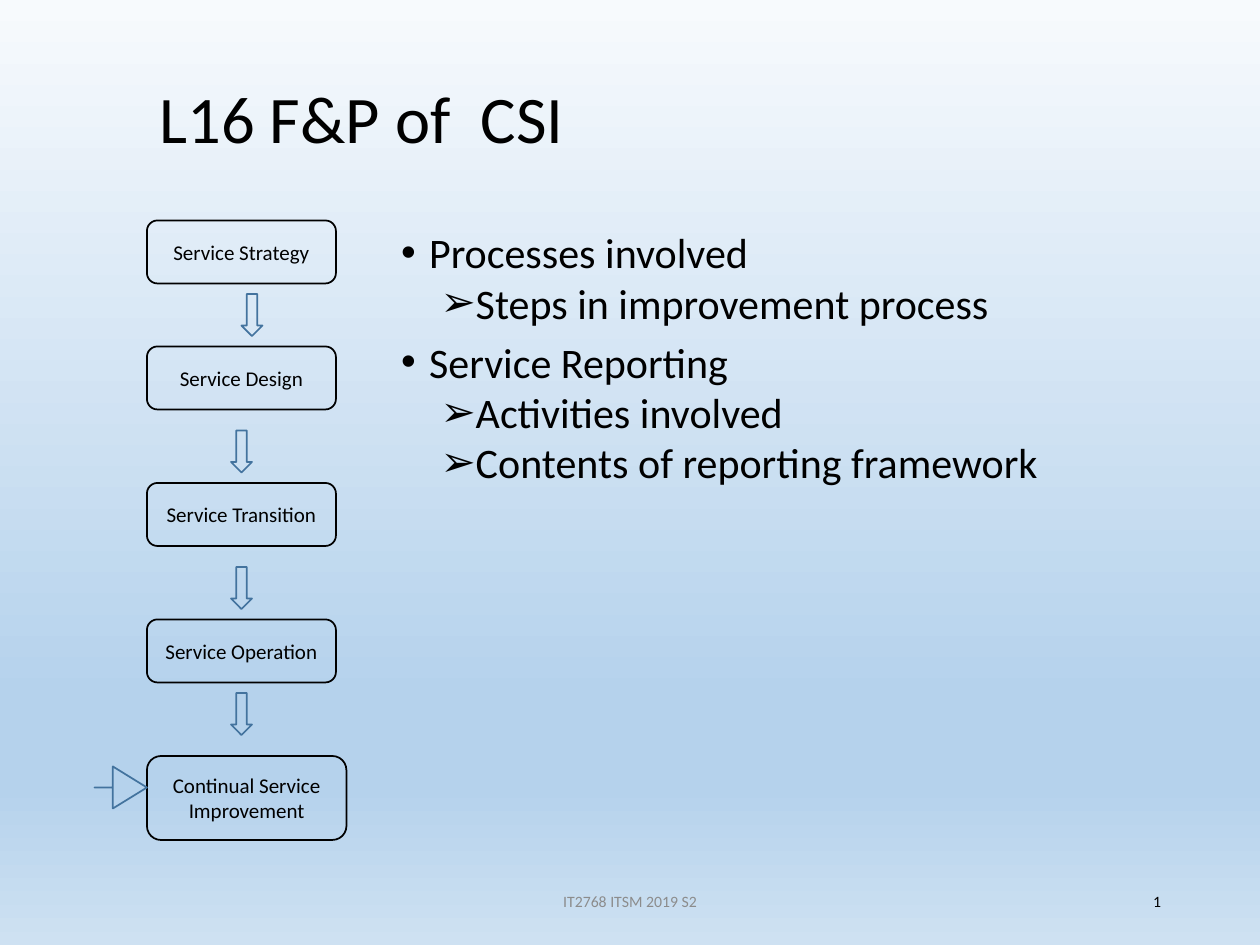
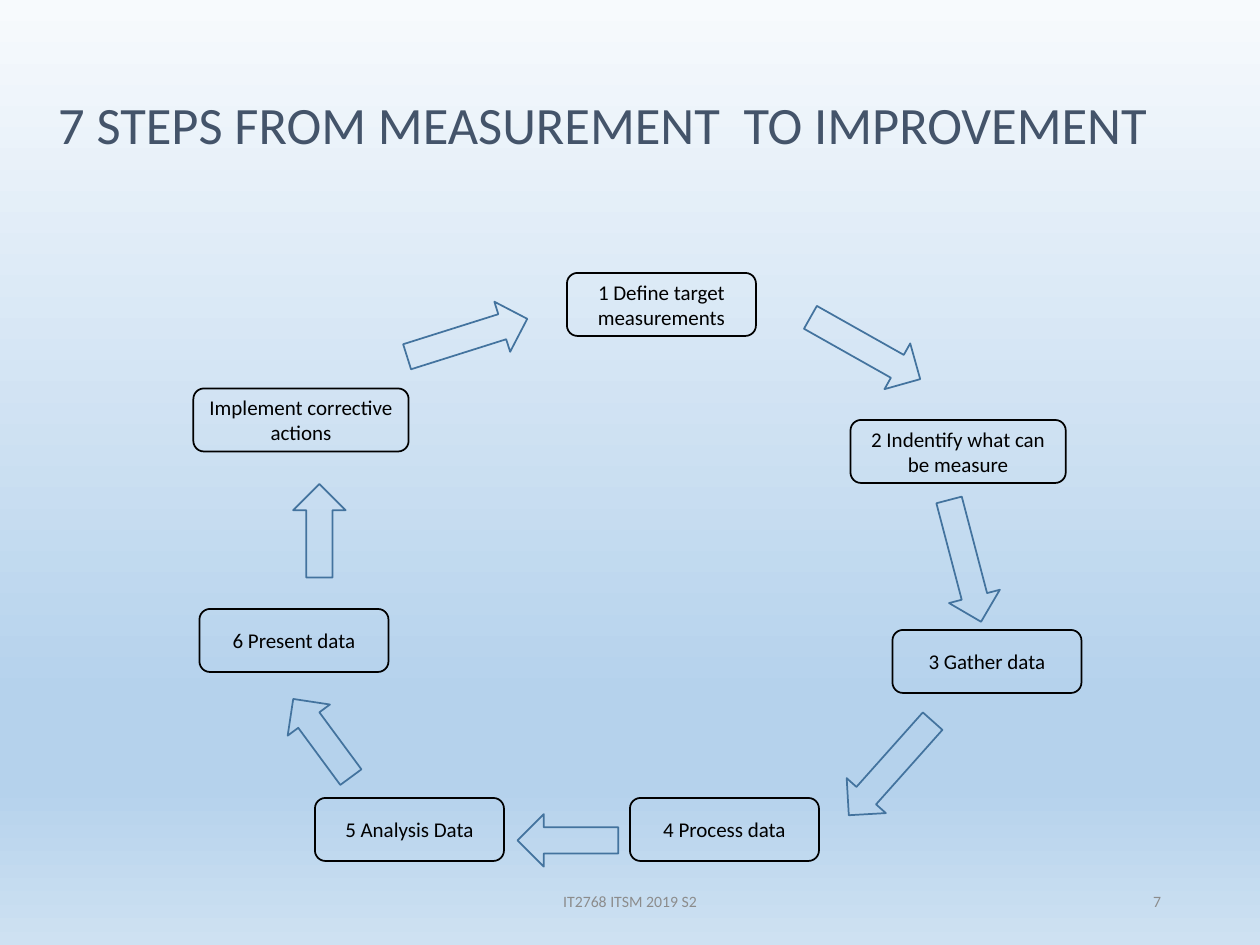
import pptx
import pptx.dml.color
import pptx.enum.shapes
import pptx.enum.text
import pptx.oxml
import pptx.oxml.ns
import pptx.util
import lxml.etree

Pt = pptx.util.Pt
Align = pptx.enum.text.PP_ALIGN
Anchor = pptx.enum.text.MSO_ANCHOR
Preset = pptx.enum.shapes.MSO_SHAPE

FONT = "Calibri"
BLACK = "000000"
SLATE = "44546A"
GREY = "8C8C8C"
ARROW_BLUE = "43739E"
BACKGROUND_STOPS = [(0, "F7FAFD"), (74, "B5D2EC"), (83, "B5D2EC"), (100, "CEE1F2")]
FOOTER = "IT2768 ITSM 2019 S2"
TITLE_AND_BODY, TITLE_ONLY = 1, 5
BULLETS = [("•", 16, -16, 4.8), ("➢", 36, -13.5, 0)]


def color(hex_string):
    return pptx.dml.color.RGBColor.from_string(hex_string)


def place(shape, left, top, width, height):
    shape.left, shape.top = Pt(left), Pt(top)
    shape.width, shape.height = Pt(width), Pt(height)


def write_text(paragraph, text, size=12, fill=BLACK, align=Align.LEFT, before=0):
    paragraph.alignment = align
    paragraph.space_before = Pt(before)
    run = paragraph.add_run()
    run.text = text
    run.font.name = FONT
    run.font.size = Pt(size)
    run.font.color.rgb = color(fill)


def set_bullet(paragraph, character, margin, indent):
    properties = paragraph._p.get_or_add_pPr()
    properties.set("marL", str(Pt(margin)))
    properties.set("indent", str(Pt(indent)))
    bullet = lxml.etree.SubElement(properties, pptx.oxml.ns.qn("a:buChar"))
    bullet.set("char", character)


class Deck:
    def __init__(self):
        self.presentation = pptx.Presentation()
        self.presentation.slide_width = Pt(720)
        self.presentation.slide_height = Pt(540)
        self.slide = None

    def add_slide(self, layout, number, number_color):
        self.slide = self.presentation.slides.add_slide(self.presentation.slide_layouts[layout])
        self.paint_background()
        self.add_label(FOOTER, (238.5, 500.5, 243, 28.8), fill=GREY, align=Align.CENTER)
        self.add_label(number, (508.5, 500.5, 162, 28.8), fill=number_color, align=Align.RIGHT)

    def paint_background(self):
        fill = self.slide.background.fill
        fill.gradient()
        gradient = self.slide._element.find(".//" + pptx.oxml.ns.qn("a:gradFill"))
        stops = "".join(
            f'<a:gs pos="{position * 1000}"><a:srgbClr val="{value}"/></a:gs>'
            for position, value in BACKGROUND_STOPS
        )
        namespace = pptx.oxml.ns.nsdecls("a")
        stop_list = pptx.oxml.parse_xml(f"<a:gsLst {namespace}>{stops}</a:gsLst>")
        gradient.replace(gradient.find(pptx.oxml.ns.qn("a:gsLst")), stop_list)
        fill.gradient_angle = 270

    def add_label(self, text, box, **style):
        shape = self.slide.shapes.add_textbox(*map(Pt, box))
        frame = shape.text_frame
        frame.word_wrap = True
        frame.vertical_anchor = Anchor.MIDDLE
        write_text(frame.paragraphs[0], text, size=9, **style)

    def set_title(self, text, box, **style):
        title = self.slide.shapes.title
        place(title, *box)
        title.text_frame.vertical_anchor = Anchor.MIDDLE
        write_text(title.text_frame.paragraphs[0], text, **style)

    def set_list(self, items, box):
        body = self.slide.placeholders[1]
        place(body, *box)
        frame = body.text_frame
        for index, (level, text) in enumerate(items):
            paragraph = frame.add_paragraph() if index else frame.paragraphs[0]
            paragraph.level = level
            character, margin, indent, before = BULLETS[level]
            set_bullet(paragraph, character, margin, indent)
            write_text(paragraph, text, size=24, before=before if index else 0)

    def add_outline(self, preset, box, line):
        shape = self.slide.shapes.add_shape(preset, *map(Pt, box))
        shape.shadow.inherit = False
        shape.fill.background()
        shape.line.color.rgb = color(line)
        shape.line.width = Pt(1)
        return shape

    def add_step(self, text, left, top, width=108, height=36):
        shape = self.add_outline(Preset.ROUNDED_RECTANGLE, (left, top, width, height), BLACK)
        frame = shape.text_frame
        frame.word_wrap = True
        frame.vertical_anchor = Anchor.MIDDLE
        write_text(frame.paragraphs[0], text, align=Align.CENTER)

    def add_arrow(self, left, top, width, height, rotation=0):
        shape = self.add_outline(Preset.DOWN_ARROW, (left, top, width, height), ARROW_BLUE)
        shape.rotation = rotation
        return shape


def build_lifecycle(deck):
    deck.add_slide(TITLE_AND_BODY, "1", BLACK)
    deck.set_title("L16 F&P of  CSI", (84, 21.6, 618, 90), size=38)
    deck.set_list(
        [
            (0, "Processes involved"),
            (1, "Steps in improvement process"),
            (0, "Service Reporting"),
            (1, "Activities involved"),
            (1, "Contents of reporting framework"),
        ],
        (222, 126, 456, 378),
    )
    stages = [("Strategy", 126), ("Design", 198), ("Transition", 276), ("Operation", 354)]
    for stage, top in stages:
        deck.add_step(f"Service {stage}", 84, top)
    deck.add_step("Continual Service Improvement", 84, 432, 114, 48)
    for left, top in [(138, 168), (132, 246), (132, 324), (132, 396)]:
        deck.add_arrow(left, top, 12, 24)
    marker = deck.add_arrow(57, 435, 24, 30, 270)
    marker.adjustments[0] = 0
    marker.adjustments[1] = 0.81


def build_improvement_cycle(deck):
    deck.add_slide(TITLE_ONLY, "7", GREY)
    deck.set_title(
        "7 STEPS FROM MEASUREMENT  TO IMPROVEMENT", (26, 37.5, 694, 66), size=30, fill=SLATE
    )
    steps = [
        ("1 Define target measurements", 324, 156, 108),
        ("2 Indentify what can be measure", 486, 240, 123),
        ("3 Gather data", 510, 360, 108),
        ("4 Process data", 360, 456, 108),
        ("5 Analysis Data", 180, 456, 108),
        ("6 Present data", 114, 348, 108),
        ("Implement corrective actions", 110.5, 222, 123),
    ]
    for step in steps:
        deck.add_step(*step)
    arrows = [
        (479.5, 163, 72, 299.4),
        (536.5, 284.5, 72, 345.3),
        (494, 403, 72, 41.7),
        (309.5, 451.5, 57.5, 90),
        (169, 394, 55.5, 143.6),
        (167.5, 276.5, 53.5, 180),
        (252, 157, 72, 252.5),
    ]
    for left, top, length, rotation in arrows:
        deck.add_arrow(left, top, 30, length, rotation)


def main():
    deck = Deck()
    build_lifecycle(deck)
    build_improvement_cycle(deck)
    deck.presentation.save("out.pptx")


if __name__ == "__main__":
    main()
